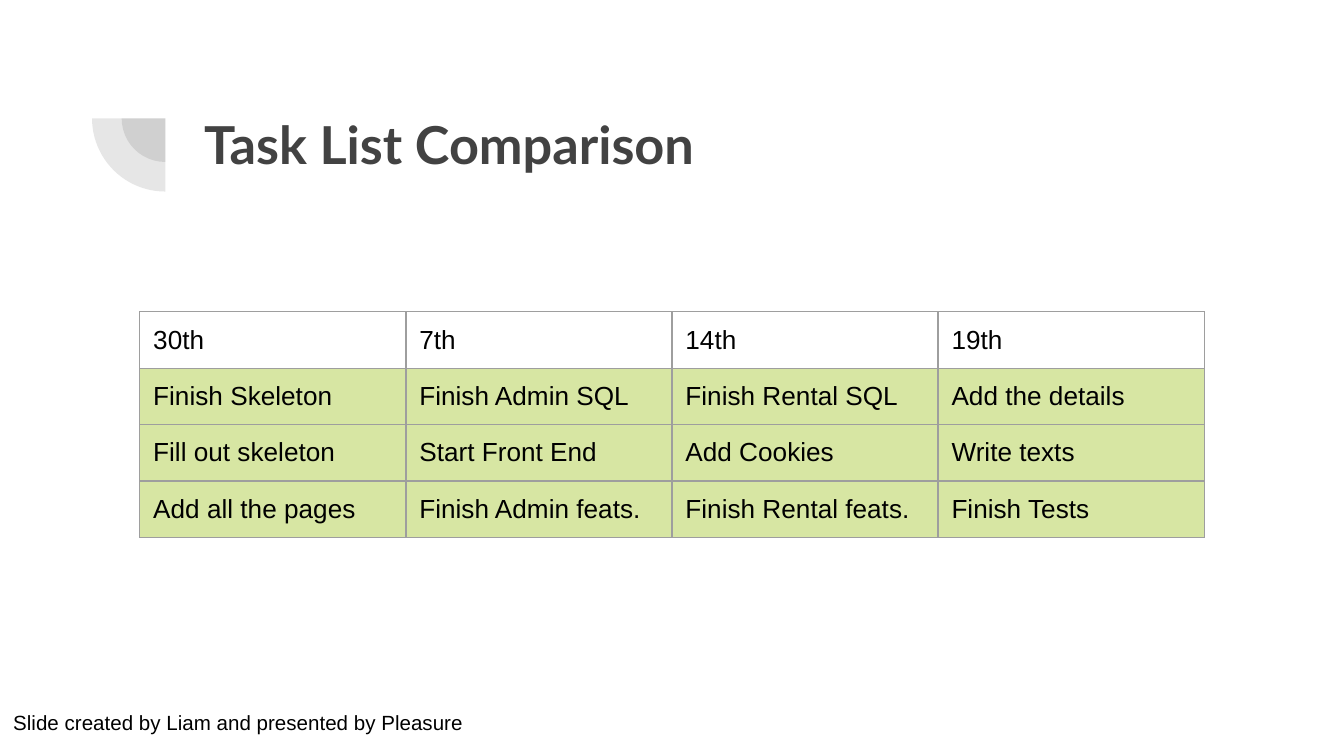
from lxml import etree
from pptx import Presentation
from pptx import util as u
from pptx.dml.color import RGBColor
from pptx.enum import shapes, text
from pptx.oxml import ns

WIDTH = u.Inches(10)
HEIGHT = WIDTH * 9 // 16
INSET = u.Inches(0.1)

DARK = RGBColor(0x42, 0x42, 0x42)
BLACK = RGBColor(0x00, 0x00, 0x00)
GREEN = RGBColor(0xD7, 0xE6, 0xA3)
BORDER = RGBColor(0x9E, 0x9E, 0x9E)

TASKS = [
    ["30th", "7th", "14th", "19th"],
    ["Finish Skeleton", "Finish Admin SQL", "Finish Rental SQL", "Add the details"],
    ["Fill out skeleton", "Start Front End", "Add Cookies", "Write texts"],
    ["Add all the pages", "Finish Admin feats.", "Finish Rental feats.", "Finish Tests"],
]
COLUMN, ROW = u.Inches(1.98), u.Inches(0.42)


def style(p, size, name, color, bold=False):
    p.font.size = u.Pt(size)
    p.font.name = name
    p.font.color.rgb = color
    p.font.bold = bold


def set_insets(o):
    """Give a text frame or a table cell the same margin on every side."""
    o.margin_left = o.margin_right = o.margin_top = o.margin_bottom = INSET


def add_quarter(s, diameter):
    """Draw a translucent quarter disc, below and left of a shared centre."""
    x, y = u.Inches(1.23), u.Inches(0.88)
    sp = s.shapes.add_shape(shapes.MSO_SHAPE.PIE, x - diameter // 2,
                            y - diameter // 2, diameter, diameter)
    sp.adjustments[0], sp.adjustments[1] = 108, 162
    sp.rotation = 270
    sp.shadow.inherit = False
    sp.line.fill.background()
    sp.fill.solid()
    sp.fill.fore_color.rgb = DARK
    color = sp.fill._xPr.find(".//" + ns.qn("a:srgbClr"))
    etree.SubElement(color, ns.qn("a:alpha"), val="13000")


def add_text(s, words, x, y, w, h, **font):
    """Add a text box placed by shares of the slide's size."""
    sp = s.shapes.add_textbox(round(x * WIDTH), round(y * HEIGHT),
                              round(w * WIDTH), round(h * HEIGHT))
    tf = sp.text_frame
    tf.word_wrap = True
    tf.vertical_anchor = text.MSO_ANCHOR.TOP
    set_insets(tf)
    p = tf.paragraphs[0]
    p.text = words
    style(p, **font)
    return tf


def add_borders(cell):
    tc_pr = cell._tc.get_or_add_tcPr()
    for i, side in enumerate(("lnL", "lnR", "lnT", "lnB")):
        ln = etree.Element(ns.qn("a:" + side), w=str(u.Pt(0.75)))
        fill = etree.SubElement(ln, ns.qn("a:solidFill"))
        etree.SubElement(fill, ns.qn("a:srgbClr"), val=str(BORDER))
        tc_pr.insert(i, ln)


def add_task_table(s):
    n_rows, n_cols = len(TASKS), len(TASKS[0])
    table = s.shapes.add_table(n_rows, n_cols, u.Inches(1.04), u.Inches(2.32),
                               n_cols * COLUMN, n_rows * ROW).table
    table.first_row = table.horz_banding = False
    for i, row in enumerate(TASKS):
        for j, words in enumerate(row):
            cell = table.cell(i, j)
            set_insets(cell)
            cell.margin_bottom = u.Inches(0.08)  # lets the line fit the row
            p = cell.text_frame.paragraphs[0]
            p.text = words
            style(p, 14, "Arial", BLACK)
            if i:
                cell.fill.solid()
                cell.fill.fore_color.rgb = GREEN
            else:
                cell.fill.background()
            add_borders(cell)


def main():
    prs = Presentation()
    prs.slide_width, prs.slide_height = WIDTH, HEIGHT
    s = prs.slides.add_slide(prs.slide_layouts[6])
    for diameter in (0.65, 1.09):
        add_quarter(s, u.Inches(diameter))
    add_text(s, "Task List Comparison", 0.142, 0.131, 0.769, 0.194,
             size=28, name="Lato", color=DARK, bold=True)
    add_task_table(s)
    tf = add_text(s, "Slide created by Liam and presented by Pleasure",
                  0, 0.923, 0.932, 0.07, size=11, name="Arial", color=BLACK)
    tf.auto_size = text.MSO_AUTO_SIZE.SHAPE_TO_FIT_TEXT
    prs.save("out.pptx")


if __name__ == "__main__":
    main()
